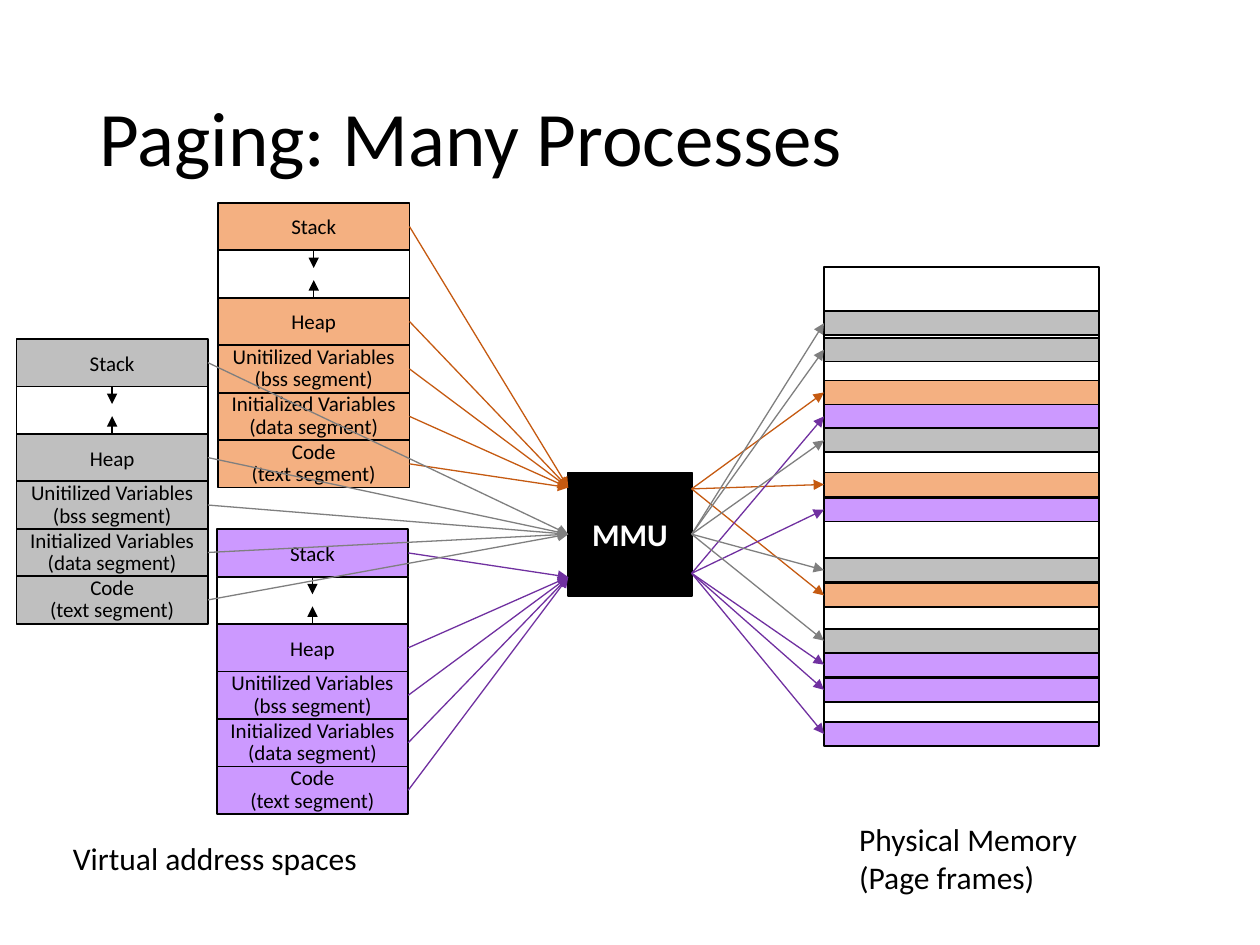
from pptx import Presentation
from pptx.dml.color import RGBColor
from pptx.enum.shapes import MSO_CONNECTOR, MSO_SHAPE
from pptx.enum.text import MSO_ANCHOR, PP_ALIGN
from pptx.oxml.ns import qn
from pptx.util import Inches, Pt
from lxml.etree import SubElement

# Content: segments from high to low addresses, None marks the growth gap
SEGMENTS = [
    ["Stack"],
    None,
    ["Heap"],
    ["Unitilized Variables (bss segment)"],
    ["Initialized Variables", "(data segment)"],
    ["Code", "(text segment)"],
]
# Each process: position of its address space, MMU port heights, frame tops
PROCESSES = [
    dict(name="orange", left=1.73, top=1.61, port_in=3.87, port_out=3.88,
         frames=[3.02, 3.75, 4.63]),
    dict(name="purple", left=1.72, top=4.2, port_in=4.58, port_out=4.55,
         frames=[3.21, 3.95, 5.18, 5.38, 5.73]),
    dict(name="gray", left=0.13, top=2.69, port_in=4.24, port_out=4.24,
         frames=[2.47, 2.68, 3.4, 4.43, 4.99]),
]
LABELS = [  # text lines, box, size key
    (["Paging: Many Processes"], (0.69, 0.4, 9.31, 1.45), "title"),
    (["Physical Memory", "(Page frames)"], (6.72, 6.46, 1.95, 0.71), "label"),
    (["Virtual address spaces"], (0.48, 6.61, 2.48, 0.4), "label"),
]

THEME = dict(
    font="Calibri", black="000000", white="FFFFFF",
    fill=dict(orange="F4B081", purple="CC99FF", gray="BFBFBF"),
    arrow=dict(orange="C55A11", purple="7030A0", gray="7F7F7F"),
    size=dict(title=44, label=18, segment=12),
    border=1, arrow_width=0.75,
)

# Geometry in inches
SPACE_WIDTH, SPACE_HEIGHT = 1.52, 2.26
ROW = SPACE_HEIGHT / len(SEGMENTS)
GROWTH = 0.14
MEMORY = (6.54, 2.12, 2.18, 3.79)
FRAME_HEIGHT = 0.19
MMU = (4.51, 3.75, 0.98, 0.98)


def color(code):
    return RGBColor.from_string(code)


def write(frame, lines, size, ink, align=PP_ALIGN.LEFT, bold=False, spacing=None):
    frame.word_wrap = True
    for index, line in enumerate(lines):
        para = frame.paragraphs[0] if index == 0 else frame.add_paragraph()
        para.text = line
        para.alignment = align
        para.line_spacing = spacing
        para.font.name = THEME["font"]
        para.font.size = Pt(THEME["size"][size])
        para.font.bold = bold
        para.font.color.rgb = color(ink)


def add_box(page, area, fill):
    box = page.shapes.add_shape(MSO_SHAPE.RECTANGLE, *map(Inches, area))
    box.shadow.inherit = False
    box.fill.solid()
    box.fill.fore_color.rgb = color(fill)
    box.line.color.rgb = color(THEME["black"])
    box.line.width = Pt(THEME["border"])
    box.text_frame.vertical_anchor = MSO_ANCHOR.MIDDLE
    return box


def add_arrow(page, start, end, ink):
    arrow = page.shapes.add_connector(
        MSO_CONNECTOR.STRAIGHT, *map(Inches, (*start, *end)))
    arrow.line.color.rgb = color(ink)
    arrow.line.width = Pt(THEME["arrow_width"])
    SubElement(arrow.line._get_or_add_ln(), qn("a:tailEnd"), type="triangle")
    SubElement(arrow._element.spPr, qn("a:effectLst"))


def add_address_space(page, process):
    left, fill = process["left"], THEME["fill"][process["name"]]
    for index, lines in enumerate(SEGMENTS):
        top = process["top"] + index * ROW
        area = (left, top, SPACE_WIDTH, ROW)
        if lines:
            box = add_box(page, area, fill)
            write(box.text_frame, lines, "segment", THEME["black"], PP_ALIGN.CENTER,
                  spacing=0.89 if "segment" in lines[-1] else None)
        else:
            add_box(page, area, THEME["white"])
            gap_top = top

    # Stack grows down and heap grows up into the gap
    middle, gap_bottom = left + SPACE_WIDTH / 2, gap_top + ROW
    add_arrow(page, (middle, gap_top), (middle, gap_top + GROWTH), THEME["black"])
    add_arrow(page, (middle, gap_bottom), (middle, gap_bottom - GROWTH), THEME["black"])


def add_mapping(page, process):
    ink = THEME["arrow"][process["name"]]
    # Segments to the MMU
    for index, lines in enumerate(SEGMENTS):
        if lines:
            start = (process["left"] + SPACE_WIDTH, process["top"] + (index + 0.5) * ROW)
            add_arrow(page, start, (MMU[0], process["port_in"]), ink)
    # MMU to the page frames
    for top in process["frames"]:
        add_arrow(page, (MMU[0] + MMU[2], process["port_out"]),
                  (MEMORY[0], top + FRAME_HEIGHT / 2), ink)


def main():
    deck = Presentation()
    deck.slide_width, deck.slide_height = Inches(10), Inches(7.5)
    page = deck.slides.add_slide(deck.slide_layouts[6])

    # Title and captions
    for lines, area, size in LABELS:
        box = page.shapes.add_textbox(*map(Inches, area))
        is_title = size == "title"
        box.text_frame.vertical_anchor = MSO_ANCHOR.MIDDLE if is_title else MSO_ANCHOR.TOP
        write(box.text_frame, lines, size, THEME["black"],
              spacing=0.9 if is_title else None)

    # Physical memory and MMU
    add_box(page, MEMORY, THEME["white"])
    mmu = add_box(page, MMU, THEME["black"])
    write(mmu.text_frame, ["MMU"], "label", THEME["white"], PP_ALIGN.CENTER, bold=True)

    # Address spaces and their page frames, then the arrows on top
    for process in PROCESSES:
        add_address_space(page, process)
        for top in process["frames"]:
            add_box(page, (MEMORY[0], top, MEMORY[2], FRAME_HEIGHT),
                    THEME["fill"][process["name"]])
    for process in PROCESSES:
        add_mapping(page, process)

    deck.save("out.pptx")


if __name__ == "__main__":
    main()
